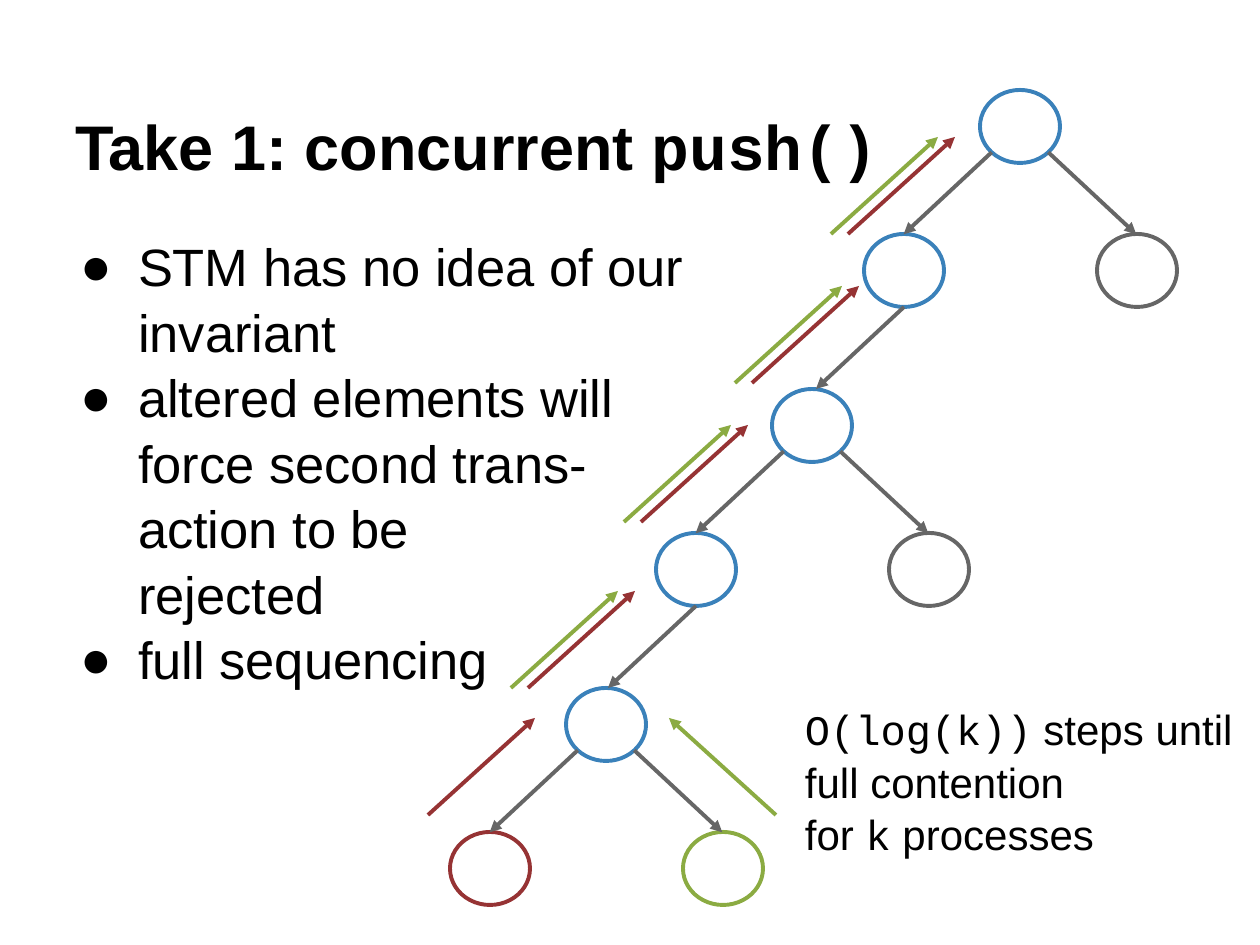
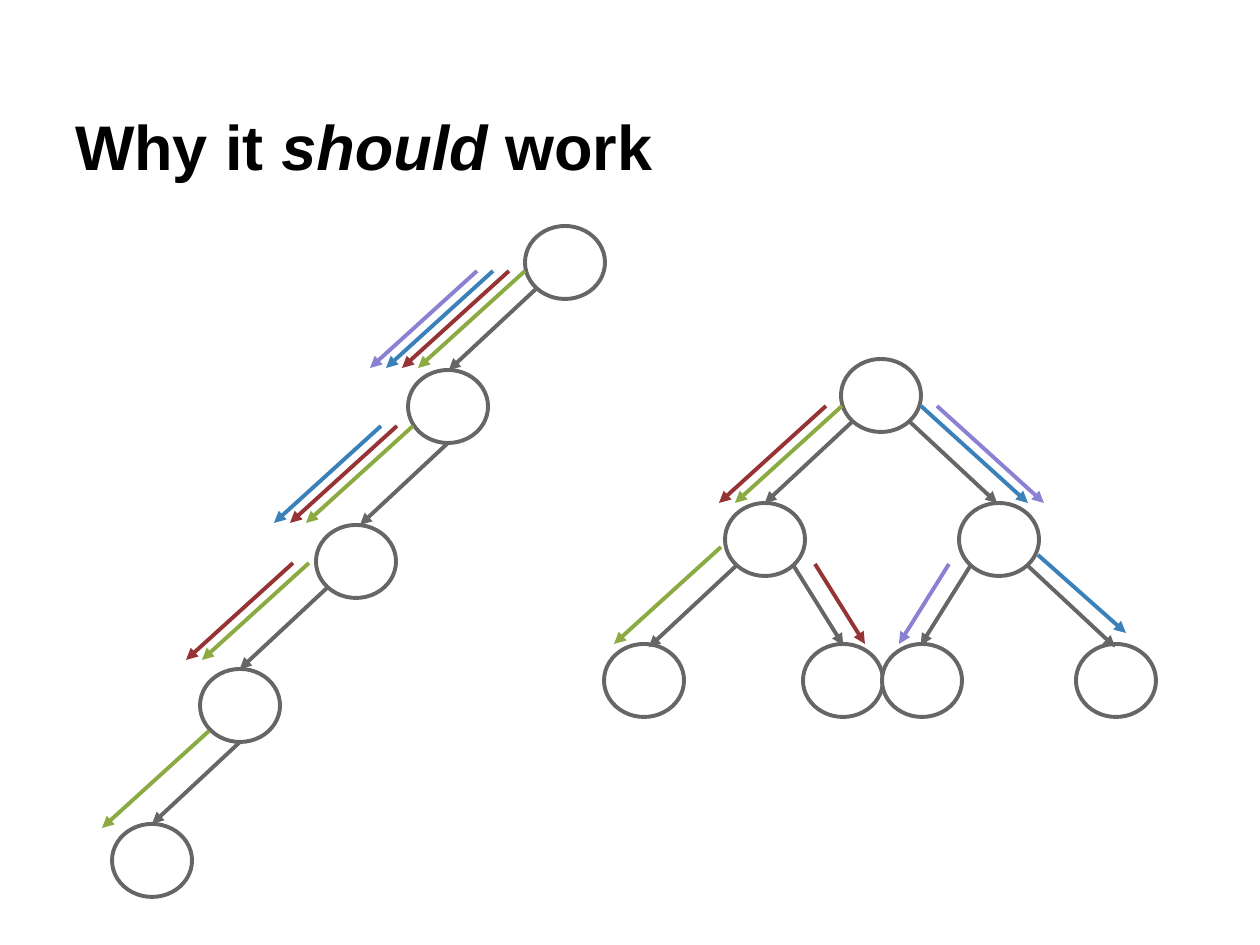
"""Builds two slides on concurrent heap operations drawn as binary trees."""
from lxml import etree
from pptx import Presentation
from pptx.dml.color import RGBColor
from pptx.enum.shapes import MSO_CONNECTOR, MSO_SHAPE
from pptx.enum.text import MSO_ANCHOR, MSO_AUTO_SIZE, PP_ALIGN
from pptx.oxml.ns import qn
from pptx.util import Emu, Pt

STRAIGHT, ELLIPSE = MSO_CONNECTOR.STRAIGHT, MSO_SHAPE.OVAL
TOP, BOTTOM, LEFT = MSO_ANCHOR.TOP, MSO_ANCHOR.BOTTOM, PP_ALIGN.LEFT
NO_FIT = MSO_AUTO_SIZE.NONE


class Theme:
    """Colours, fonts, type sizes and pixel measures shared by the slides."""
    colors = {"black": "000000", "white": "FFFFFF", "gray": "666666", "blue": "3A81BA",
              "red": "963334", "green": "8BAB42", "purple": "8B81D2"}
    sans, mono = "Arial", "Courier New"
    title_size, body_size, note_size = 36, 30, 24
    line_width, line_spacing, inset = 2.25, 1.04, 12
    bullet_indent, bullet_hang = 63, 58
    title_box = (63, 38, 1134, 157)
    node_w, node_h = 80, 73


SCALE = 914400 // 126
TITLE_ONLY, TITLE_BODY = 5, 1

MONO, ITALIC = {"name": Theme.mono}, {"italic": True}
STEPS = {"left": (-88, 82), "right": (88, 82), "inner left": (-50, 80), "inner right": (50, 80)}
UP_RIGHT, UP_LEFT = (107, -97), (-107, -97)
DOWN_LEFT, DOWN_RIGHT = (-107, 97), (107, 97)

PUSH = {
    "title": [("Take 1: concurrent ", {}), ("push()", MONO)],
    "body": ((63, 220, 649, 476), [
        [("STM has no idea of our\ninvariant", {})],
        [("altered elements will\nforce second trans-\naction to be\nrejected", {})],
        [("full sequencing", {})]]),
    "note": ((793, 690, 452, 202), [
        [("O(log(k))", MONO), (" steps until full contention", {})],
        [("for ", {}), ("k", MONO), (" processes", {})]]),
    "nodes": [
        (980, 90, "blue", [("corner", "left"), ("corner", "right")]),
        (864, 234, "blue", [("bottom", "left")]),
        (1097, 234, "gray", []),
        (772, 389, "blue", [("corner", "left"), ("corner", "right")]),
        (656, 533, "blue", [("bottom", "left")]),
        (889, 533, "gray", []),
        (566, 688, "blue", [("corner", "left"), ("corner", "right")]),
        (450, 832, "red", []),
        (683, 832, "green", [])],
    "moves": [
        (428, 815, UP_RIGHT, ["red"]),
        (776, 815, UP_LEFT, ["green"]),
        (528, 688, UP_RIGHT, ["red", "green"]),
        (641, 522, UP_RIGHT, ["red", "green"]),
        (752, 383, UP_RIGHT, ["red", "green"]),
        (848, 234, UP_RIGHT, ["red", "green"])],
    "gap": -17,
}

WORK = {
    "title": [("Why it ", {}), ("should", ITALIC), (" work", {})],
    "nodes": [
        (525, 226, "gray", [("corner", "left")]),
        (408, 370, "gray", [("bottom", "left")]),
        (316, 525, "gray", [("corner", "left")]),
        (200, 669, "gray", [("bottom", "left")]),
        (112, 824, "gray", []),
        (841, 359, "gray", [("corner", "left"), ("corner", "right")]),
        (725, 503, "gray", [("corner", "left"), ("corner", "inner right")]),
        (959, 503, "gray", [("corner", "inner left"), ("corner", "right")]),
        (604, 644, "gray", []),
        (803, 644, "gray", []),
        (882, 644, "gray", []),
        (1076, 644, "gray", [])],
    "moves": [
        (477, 271, DOWN_LEFT, ["purple", "blue", "red", "green"]),
        (381, 426, DOWN_LEFT, ["blue", "red", "green"]),
        (293, 563, DOWN_LEFT, ["red", "green"]),
        (209, 731, DOWN_LEFT, ["green"]),
        (826, 406, DOWN_LEFT, ["red", "green"]),
        (921, 406, DOWN_RIGHT, ["blue", "purple"]),
        (721, 547, DOWN_LEFT, ["green"]),
        (815, 564, STEPS["inner right"], ["red"]),
        (949, 564, STEPS["inner left"], ["purple"]),
        (1038, 555, (88, 78), ["blue"])],
    "gap": 16,
}


def px(*values):
    return [Emu(round(v * SCALE)) for v in values]


def color(name):
    return RGBColor.from_string(Theme.colors[name])


def set_all(target, values):
    for name, value in values.items():
        setattr(target, name, value)


def add_bullet(p):
    pPr = p._p.get_or_add_pPr()
    indent, hang = px(Theme.bullet_indent, Theme.bullet_hang)
    pPr.set("marL", str(indent))
    pPr.set("indent", str(-hang))
    clr = etree.SubElement(pPr, qn("a:buClr"))
    etree.SubElement(clr, qn("a:srgbClr"), val=Theme.colors["black"])
    etree.SubElement(pPr, qn("a:buFont"), typeface=Theme.sans)
    etree.SubElement(pPr, qn("a:buChar"), char="●")


def write(sp, box, paragraphs, size, anchor=TOP, spacing=Theme.line_spacing,
          bold=False, bullets=False):
    set_all(sp, dict(zip(("left", "top", "width", "height"), px(*box))))
    tf = sp.text_frame
    inset, = px(Theme.inset)
    set_all(tf, {"word_wrap": True, "auto_size": NO_FIT, "vertical_anchor": anchor,
                 "margin_left": inset, "margin_right": inset,
                 "margin_top": inset, "margin_bottom": inset})
    for i, runs in enumerate(paragraphs):
        p = tf.add_paragraph() if i else tf.paragraphs[0]
        set_all(p, {"alignment": LEFT, "line_spacing": spacing,
                    "space_before": Pt(0), "space_after": Pt(0)})
        if bullets:
            add_bullet(p)
        for text, style in runs:
            for j, line in enumerate(text.split("\n")):
                if j:
                    p.add_line_break()
                r = p.add_run()
                r.text = line
                set_all(r.font, {"name": Theme.sans, "size": Pt(size), "bold": bold, **style})
                r.font.color.rgb = color("black")


def add_node(s, x, y, line):
    sp = s.shapes.add_shape(ELLIPSE, *px(x, y, Theme.node_w, Theme.node_h))
    sp.shadow.inherit = False
    sp.fill.solid()
    sp.fill.fore_color.rgb = color("white")
    sp.line.color.rgb = color(line)
    sp.line.width = Pt(Theme.line_width)


def add_arrow(s, x, y, step, line):
    cx = s.shapes.add_connector(STRAIGHT, *px(x, y, x + step[0], y + step[1]))
    cx.line.color.rgb = color(line)
    cx.line.width = Pt(Theme.line_width)
    etree.SubElement(cx.line._get_or_add_ln(), qn("a:tailEnd"), type="triangle")
    etree.SubElement(cx._element.spPr, qn("a:effectLst"))


def edge_start(x, y, site, step):
    mid_x, mid_y = x + Theme.node_w / 2, y + Theme.node_h / 2
    if site == "bottom":
        return mid_x, y + Theme.node_h
    side = 1 if step[0] > 0 else -1
    return mid_x + side * Theme.node_w * 0.354, mid_y + Theme.node_h * 0.354


def add_tree(s, nodes, moves, gap):
    for x, y, line, _ in nodes:
        add_node(s, x, y, line)
    for x, y, _, edges in nodes:
        for site, direction in edges:
            step = STEPS[direction]
            add_arrow(s, *edge_start(x, y, site, step), step, "gray")
    for x, y, step, lines in moves:
        for i, line in enumerate(lines):
            add_arrow(s, x + i * gap, y, step, line)


def add_slide(prs, content):
    layout = TITLE_BODY if "body" in content else TITLE_ONLY
    s = prs.slides.add_slide(prs.slide_layouts[layout])
    write(s.shapes.title, Theme.title_box, [content["title"]], Theme.title_size,
          anchor=BOTTOM, spacing=1.0, bold=True)
    add_tree(s, content["nodes"], content["moves"], content["gap"])
    if "body" in content:
        write(s.placeholders[1], *content["body"], Theme.body_size, bullets=True)
    if "note" in content:
        box, paragraphs = content["note"]
        write(s.shapes.add_textbox(*px(*box)), box, paragraphs, Theme.note_size)


prs = Presentation()
prs.slide_width, prs.slide_height = px(1260, 945)
for content in (PUSH, WORK):
    add_slide(prs, content)
prs.save("out.pptx")
